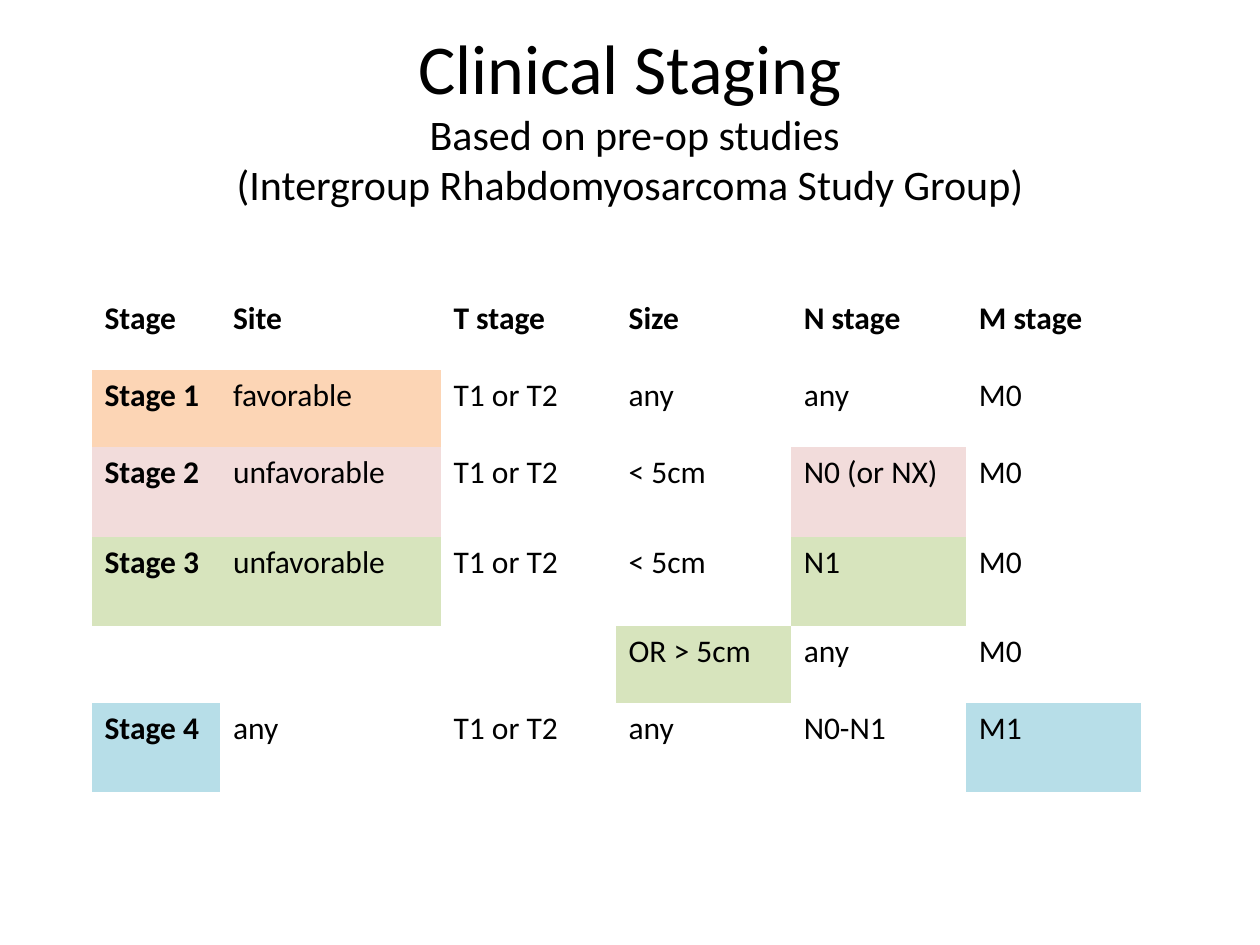
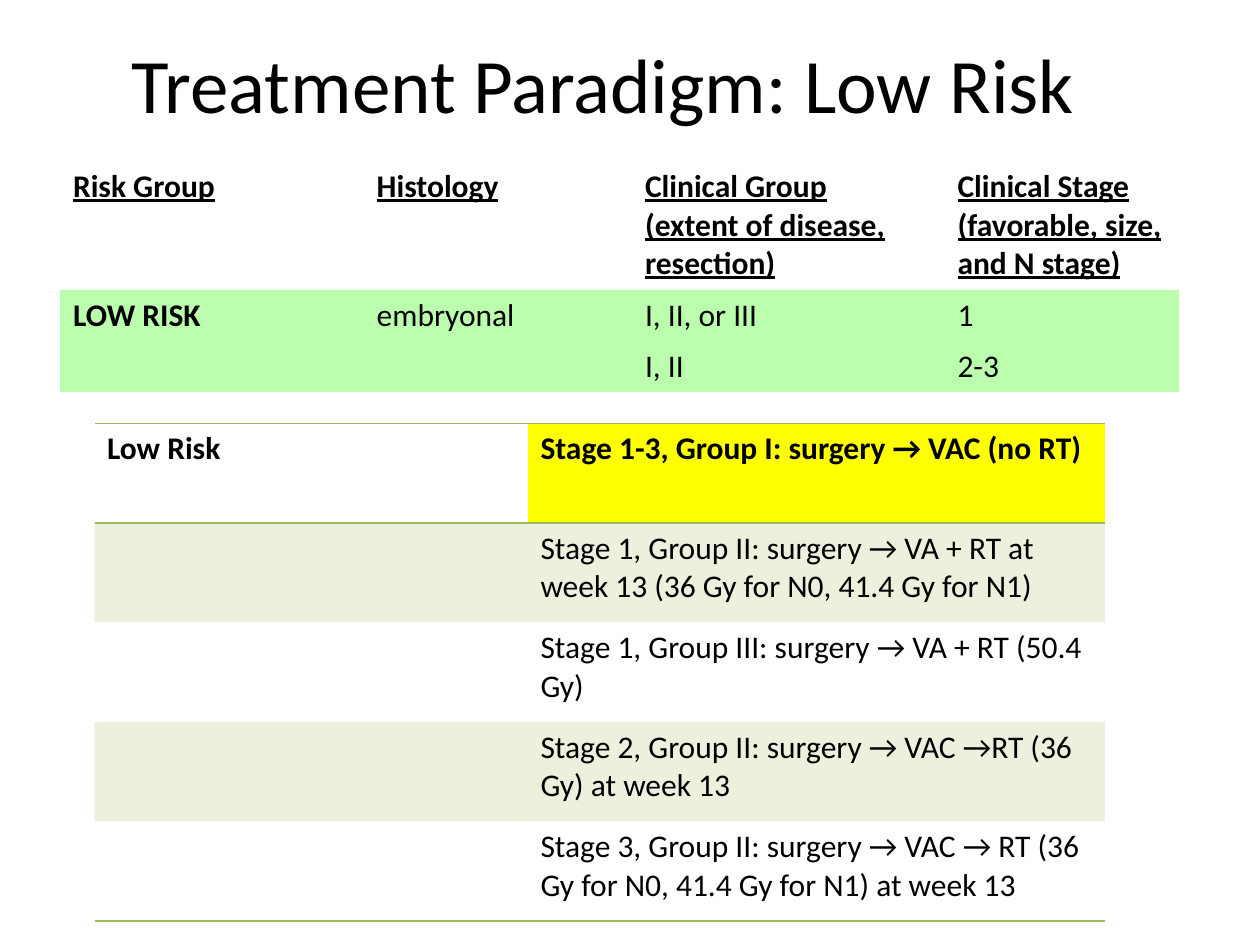
"""Build two slides on clinical staging and low-risk treatment."""
from copy import deepcopy
from dataclasses import dataclass, field

from lxml.etree import SubElement
from pptx import Presentation
from pptx.dml.color import RGBColor
from pptx.enum.text import MSO_ANCHOR as Anchor, MSO_AUTO_SIZE as AutoSize, PP_ALIGN as Align
from pptx.oxml import parse_xml
from pptx.oxml.ns import nsdecls, qn
from pptx.util import Inches, Pt

FONT = "Calibri"
PLAIN_TABLE = "{2D5ABB26-0587-4C30-8999-92F81FD0307C}"
COLORS = {
    "text": "000000",
    "orange": "FCD5B5",
    "pink": "F2DCDB",
    "green": "D7E4BD",
    "blue": "B7DEE8",
    "mint": "BBFFAE",
    "yellow": "FFFF00",
    "olive": "9BBB59",
}


@dataclass
class Grid:
    """A table: its place, sizes, wording and the cells that stand out."""
    left: float
    top: float
    widths: list[float]
    heights: list[float]
    rows: list[list[str]]
    fills: dict[tuple[int, int], str] = field(default_factory=dict)
    bold_column: bool = False
    underline_header: bool = False
    band_rows: tuple[int, ...] = ()
    rules: dict[int, tuple[str, ...]] = field(default_factory=dict)
    merges: list[tuple[int, int, int, int]] = field(default_factory=list)


def add_text(para, text: str, *, size: float = 18, bold: bool = False, underline: bool = False):
    """Add a formatted span to a paragraph and return it."""
    span = para.add_run()
    span.text = text
    font = span.font
    font.name, font.size, font.bold, font.underline = FONT, Pt(size), bold, underline
    font.color.rgb = RGBColor.from_string(COLORS["text"])
    return span


def add_title(page, left: float, top: float, lines: list[tuple[str, float]]) -> None:
    """Place the title and write its lines, each with its own size."""
    box = page.shapes.title
    box.left, box.top, box.width, box.height = map(Inches, (left, top, 9, 1.25))
    frame = box.text_frame
    frame.word_wrap = True
    frame.auto_size = AutoSize.NONE
    frame.vertical_anchor = Anchor.MIDDLE
    para = frame.paragraphs[0]
    para.alignment = Align.CENTER
    for index, (text, size) in enumerate(lines):
        if index:
            para.add_line_break()
            para._p.findall(qn("a:br"))[-1].append(deepcopy(span._r.get_or_add_rPr()))
        span = add_text(para, text, size=size)


def paint(cell, color: str | None, opacity: int = 100) -> None:
    """Fill a cell, or leave it clear when there is no colour."""
    if color is None:
        cell.fill.background()
        return
    cell.fill.solid()
    cell.fill.fore_color.rgb = RGBColor.from_string(COLORS[color])
    if opacity < 100:
        tone = cell._tc.get_or_add_tcPr().find(".//" + qn("a:srgbClr"))
        SubElement(tone, qn("a:alpha"), val=str(opacity * 1000))


def add_rules(cell, sides: tuple[str, ...]) -> None:
    """Draw one-point lines on the named sides of a cell."""
    for index, side in enumerate(sides):
        line = parse_xml(
            f'<a:ln{side} {nsdecls("a")} w="12700"><a:solidFill>'
            f'<a:srgbClr val="{COLORS["olive"]}"/></a:solidFill></a:ln{side}>'
        )
        cell._tc.get_or_add_tcPr().insert(index, line)


def add_grid(page, grid: Grid) -> None:
    """Draw a table from its description."""
    frame = page.shapes.add_table(
        len(grid.heights), len(grid.widths), Inches(grid.left), Inches(grid.top),
        Inches(sum(grid.widths)), Inches(sum(grid.heights)))
    table = frame.table
    table.first_row = table.horz_banding = False
    table._tbl.tblPr.find(qn("a:tableStyleId")).text = PLAIN_TABLE
    for column, width in zip(table.columns, grid.widths):
        column.width = Inches(width)
    for row, height in zip(table.rows, grid.heights):
        row.height = Inches(height)
    for r, texts in enumerate(grid.rows):
        for c, text in enumerate(texts):
            cell = table.cell(r, c)
            bold = r == 0 or (grid.bold_column and c == 0)
            for index, line in enumerate(text.split("\n") if text else []):
                frame = cell.text_frame
                para = frame.add_paragraph() if index else frame.paragraphs[0]
                add_text(para, line, bold=bold, underline=r == 0 and grid.underline_header)
            if r in grid.band_rows:
                paint(cell, "olive", opacity=20)
            else:
                paint(cell, grid.fills.get((r, c)))
            add_rules(cell, grid.rules.get(r, ()))
    for top, left, bottom, right in grid.merges:
        table.cell(top, left).merge(table.cell(bottom, right))


STAGING = Grid(
    left=0.73, top=2.33,
    widths=[1.02, 1.75] + [1.39] * 4,
    heights=[0.61, 0.61, 0.71, 0.71, 0.61, 0.71],
    rows=[
        ["Stage", "Site", "T stage", "Size", "N stage", "M stage"],
        ["Stage 1", "favorable", "T1 or T2", "any", "any", "M0"],
        ["Stage 2", "unfavorable", "T1 or T2", "< 5cm", "N0 (or NX)", "M0"],
        ["Stage 3", "unfavorable", "T1 or T2", "< 5cm", "N1", "M0"],
        ["", "", "", "OR > 5cm", "any", "M0"],
        ["Stage 4", "any", "T1 or T2", "any", "N0-N1", "M1"],
    ],
    fills={
        **dict.fromkeys([(1, 0), (1, 1)], "orange"),
        **dict.fromkeys([(2, 0), (2, 1), (2, 4)], "pink"),
        **dict.fromkeys([(3, 0), (3, 1), (3, 4), (4, 3)], "green"),
        **dict.fromkeys([(5, 0), (5, 5)], "blue"),
    },
    bold_column=True,
)

TREATMENT = Grid(
    left=0.75, top=3.36,
    widths=[3.44, 4.58],
    heights=[0.79] * 5,
    rows=[
        ["Low Risk", "Stage 1-3, Group I: surgery → VAC (no RT)"],
        ["", "Stage 1, Group II: surgery → VA + RT at week 13 (36 Gy for N0, 41.4 Gy for N1)"],
        ["", "Stage 1, Group III: surgery → VA + RT (50.4 Gy)"],
        ["", "Stage 2, Group II: surgery → VAC →RT (36 Gy) at week 13"],
        ["", "Stage 3, Group II: surgery → VAC → RT (36 Gy for N0, 41.4 Gy for N1) at week 13"],
    ],
    fills={(0, 1): "yellow"},
    band_rows=(1, 3),
    rules={0: ("T", "B"), 4: ("B",)},
)

RISK_GROUP = Grid(
    left=0.48, top=1.28,
    widths=[2.41, 2.13, 2.48, 1.86],
    heights=[1.02, 0.4, 0.4],
    rows=[
        ["Risk Group", "Histology", "Clinical Group\n(extent of disease, resection)",
         "Clinical Stage\n(favorable, size, and N stage)"],
        ["LOW RISK", "embryonal", "I, II, or III", "1"],
        ["", "", "I, II", "2-3"],
    ],
    fills={(r, c): "mint" for r in (1, 2) for c in range(4)},
    bold_column=True,
    underline_header=True,
    merges=[(1, 0, 2, 0), (1, 1, 2, 1)],
)


def main() -> None:
    """Build and save the deck."""
    deck = Presentation()
    deck.slide_width, deck.slide_height = Inches(10), Inches(7.5)
    title_only = deck.slide_layouts[5]

    page = deck.slides.add_slide(title_only)
    add_title(page, 0.5, 0.3, [
        ("Clinical Staging", 40),
        (" Based on pre-op studies", 24),
        ("(Intergroup Rhabdomyosarcoma Study Group)", 24),
    ])
    add_grid(page, STAGING)

    page = deck.slides.add_slide(title_only)
    add_title(page, 0.29, 0.03, [("Treatment Paradigm: Low Risk", 44)])
    add_grid(page, TREATMENT)
    add_grid(page, RISK_GROUP)

    deck.save("out.pptx")


if __name__ == "__main__":
    main()
